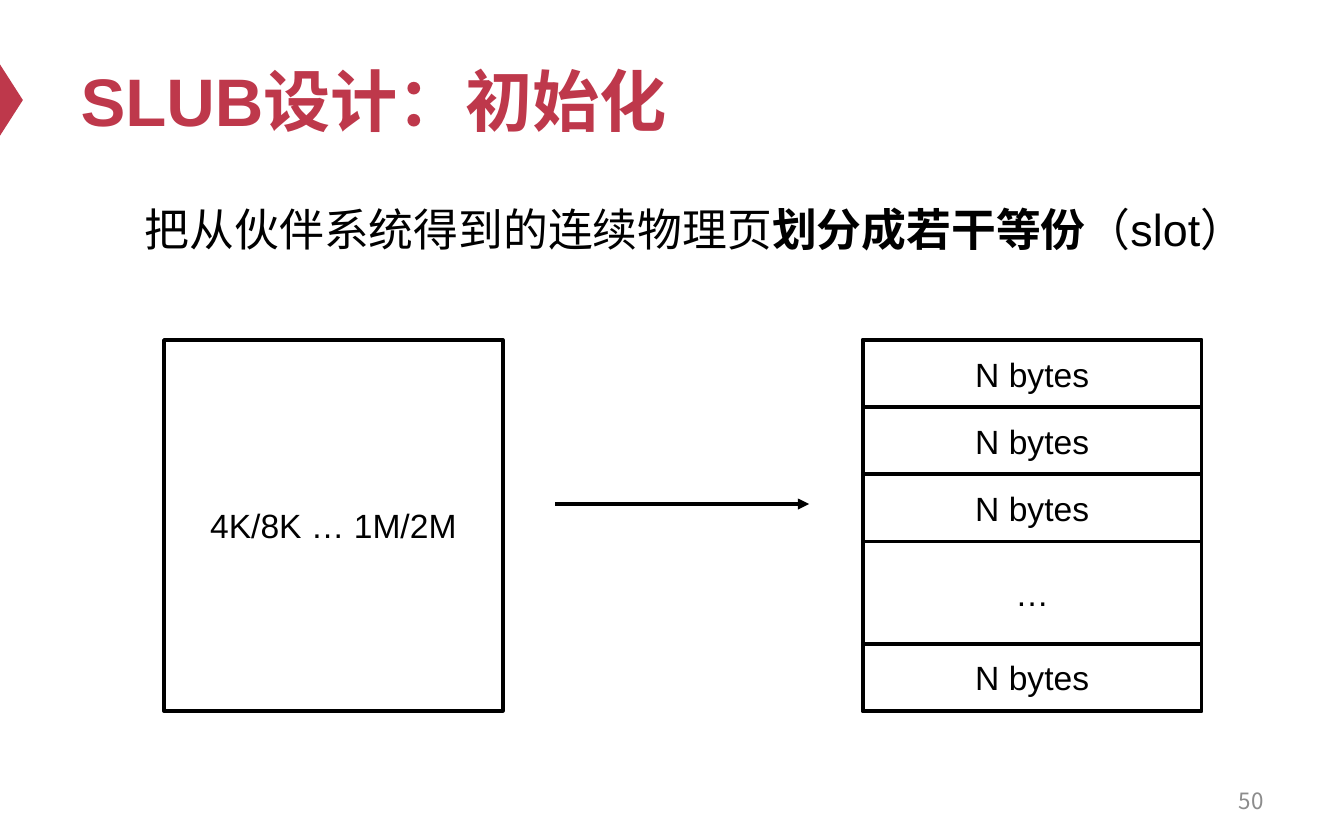
"""Build the slide on how SLUB splits pages into equal slots."""
import pptx
import pptx.dml.color
import pptx.enum.shapes
import pptx.enum.text
import pptx.oxml.ns
import pptx.util
from lxml import etree

Inches = pptx.util.Inches
Pt = pptx.util.Pt
Color = pptx.dml.color.RGBColor
Shape = pptx.enum.shapes.MSO_SHAPE
Align = pptx.enum.text.PP_ALIGN
Anchor = pptx.enum.text.MSO_ANCHOR
qn = pptx.oxml.ns.qn

RED = Color(0xBE, 0x38, 0x4B)
BLACK = Color(0, 0, 0)
WHITE = Color(0xFF, 0xFF, 0xFF)
GRAY = Color(0x8C, 0x8C, 0x8C)
LATIN, HAN = "Arial", "Noto Sans CJK SC"

TITLE = [("SLUB设计：初始化", True)]
LEAD = [("把从伙伴系统得到的连续物理页", False), ("划分成若干等份", True), ("（slot）", False)]
PAGE = "50"
BLOCK = "4K/8K … 1M/2M"
SLOTS = [("N bytes", 0.5), ("N bytes", 0.5), ("N bytes", 0.5), ("…", 0.76), ("N bytes", 0.5)]
LEFT, RIGHT, TOP, WIDTH = 1.22, 6.42, 2.53, 2.52
HEIGHT = sum(size for _, size in SLOTS)


def write(shape, runs, size, color, align=Align.LEFT, anchor=Anchor.MIDDLE, face=LATIN):
    frame = shape.text_frame
    frame.word_wrap = True
    frame.auto_size = pptx.enum.text.MSO_AUTO_SIZE.NONE
    frame.vertical_anchor = anchor
    para = frame.paragraphs[0]
    para.alignment = align
    for text, bold in runs:
        run = para.add_run()
        run.text = text
        font = run.font
        font.name, font.size, font.bold = face, Pt(size), bold
        font.color.rgb = color
        props = run._r.get_or_add_rPr()
        props.find(qn("a:latin")).addnext(props.makeelement(qn("a:ea"), {"typeface": HAN}))


def add_box(slide, left, top, height, text=""):
    box = slide.shapes.add_shape(
        Shape.RECTANGLE, Inches(left), Inches(top), Inches(WIDTH), Inches(height))
    box.shadow.inherit = False
    box.fill.solid()
    box.fill.fore_color.rgb = WHITE
    box.line.color.rgb = BLACK
    box.line.width = Pt(2)
    if text:
        write(box, [(text, False)], 18, BLACK, Align.CENTER)


def add_text(slide, left, top, width, height, *style, **more):
    box = slide.shapes.add_textbox(Inches(left), Inches(top), Inches(width), Inches(height))
    write(box, *style, **more)


def add_arrow(slide, start, end, level):
    line = slide.shapes.add_connector(
        pptx.enum.shapes.MSO_CONNECTOR.STRAIGHT,
        Inches(start), Inches(level), Inches(end), Inches(level))
    line.line.color.rgb = BLACK
    line.line.width = Pt(2)
    etree.SubElement(line.line._get_or_add_ln(), qn("a:tailEnd"), type="triangle")
    etree.SubElement(line._element.spPr, qn("a:effectLst"))


def main():
    deck = pptx.Presentation()
    deck.slide_width, deck.slide_height = Inches(10), Inches(6.25)
    slide = deck.slides.add_slide(deck.slide_layouts[5])

    mark = slide.shapes.add_shape(
        Shape.ISOSCELES_TRIANGLE, Inches(-0.18), Inches(0.66), Inches(0.53), Inches(0.17))
    mark.rotation = 90
    mark.shadow.inherit = False
    mark.fill.solid()
    mark.fill.fore_color.rgb = RED
    mark.line.fill.background()

    title = slide.shapes.title
    title.left, title.top = Inches(0.5), Inches(0.25)
    title.width, title.height = Inches(9), Inches(0.98)
    write(title, TITLE, 36, RED)

    add_text(slide, 7.17, 5.79, 2.33, 0.33, [(PAGE, False)], 12, GRAY, Align.RIGHT, face=HAN)
    add_text(slide, 0.98, 1.45, 8.74, 0.5, LEAD, 24, BLACK, anchor=Anchor.TOP)

    add_box(slide, LEFT, TOP, HEIGHT, BLOCK)
    add_arrow(slide, 4.13, 6.02, 3.75)
    add_box(slide, RIGHT, TOP, HEIGHT)
    top = TOP
    for text, height in SLOTS:
        add_box(slide, RIGHT, top, height, text)
        top += height

    deck.save("out.pptx")


if __name__ == "__main__":
    main()
